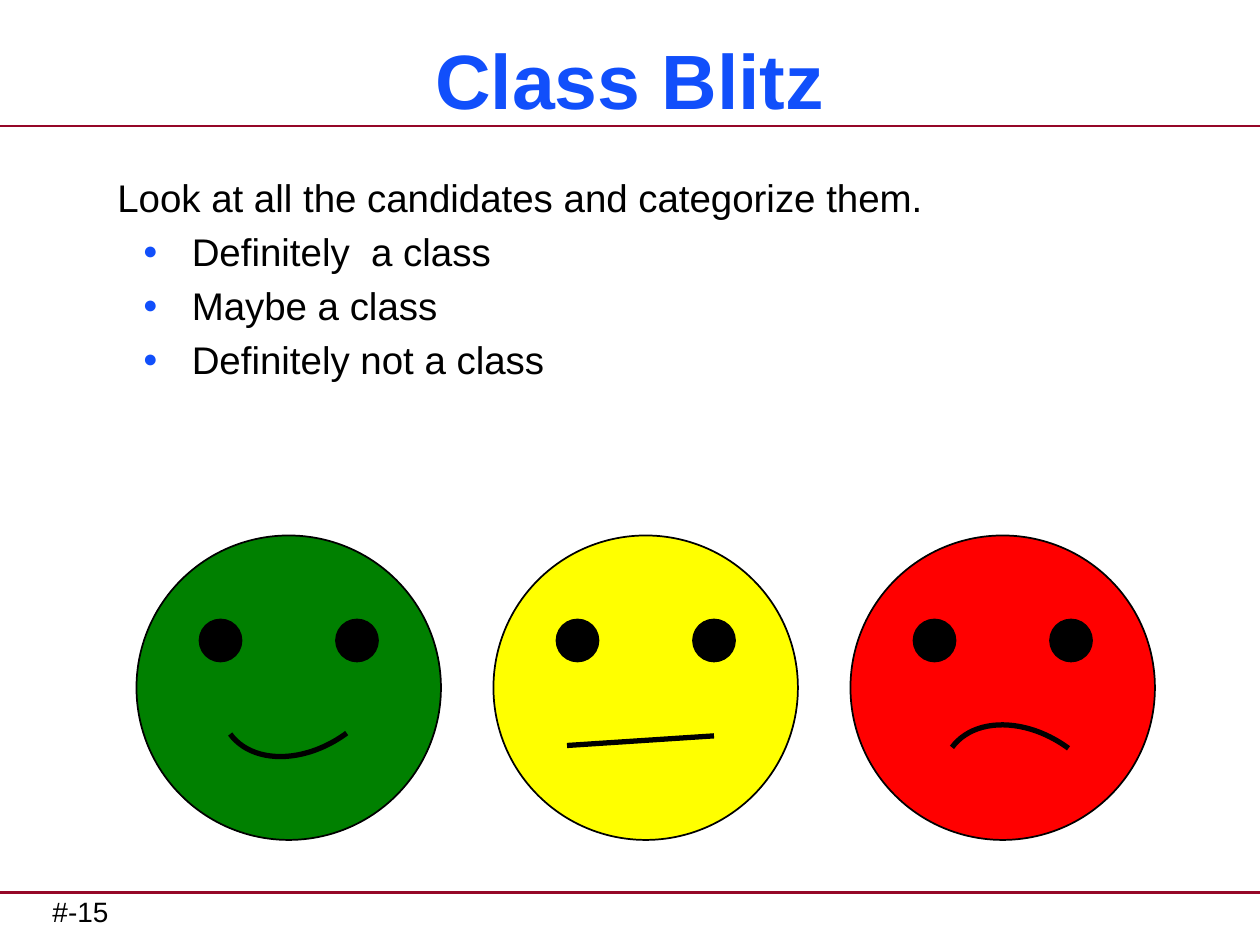
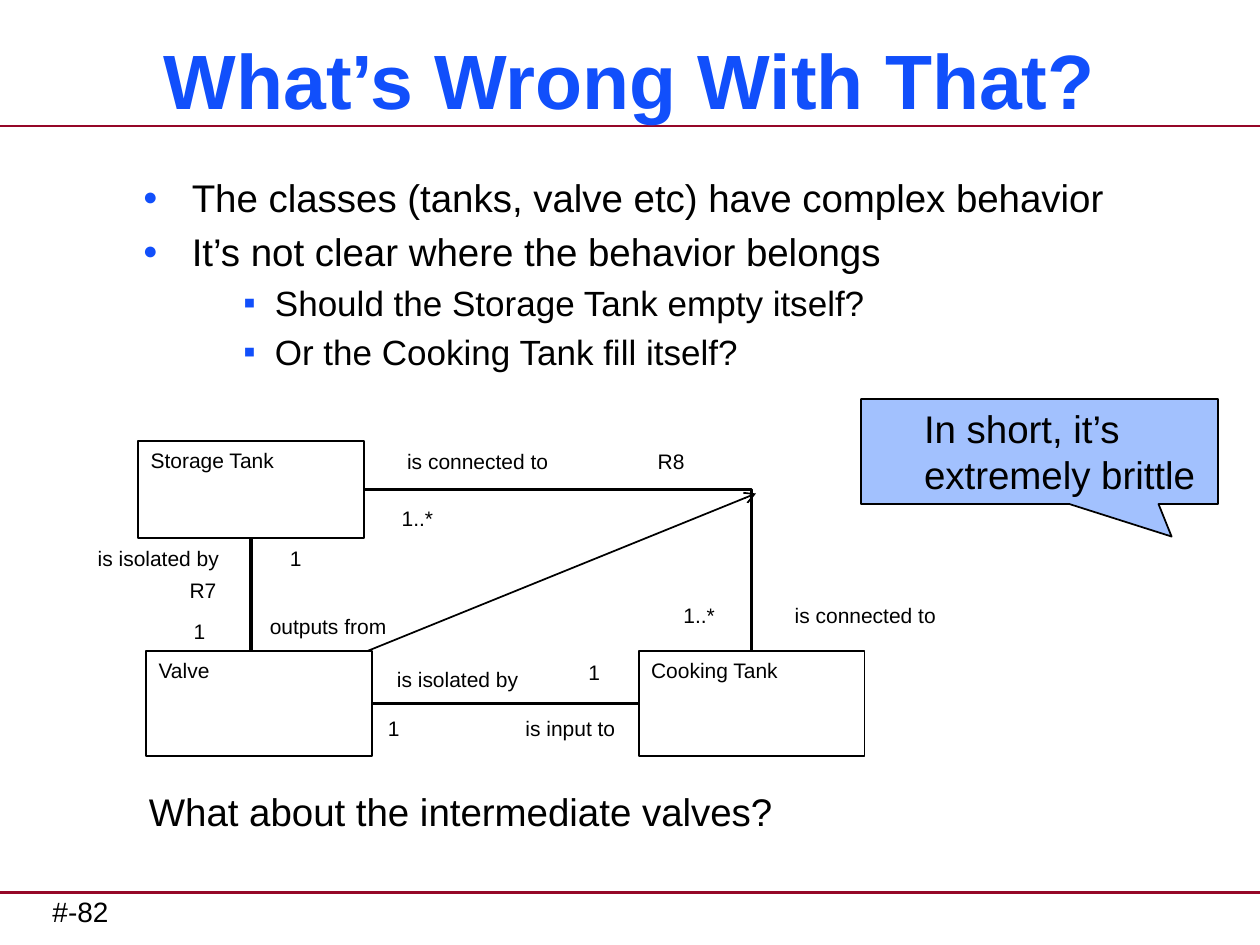
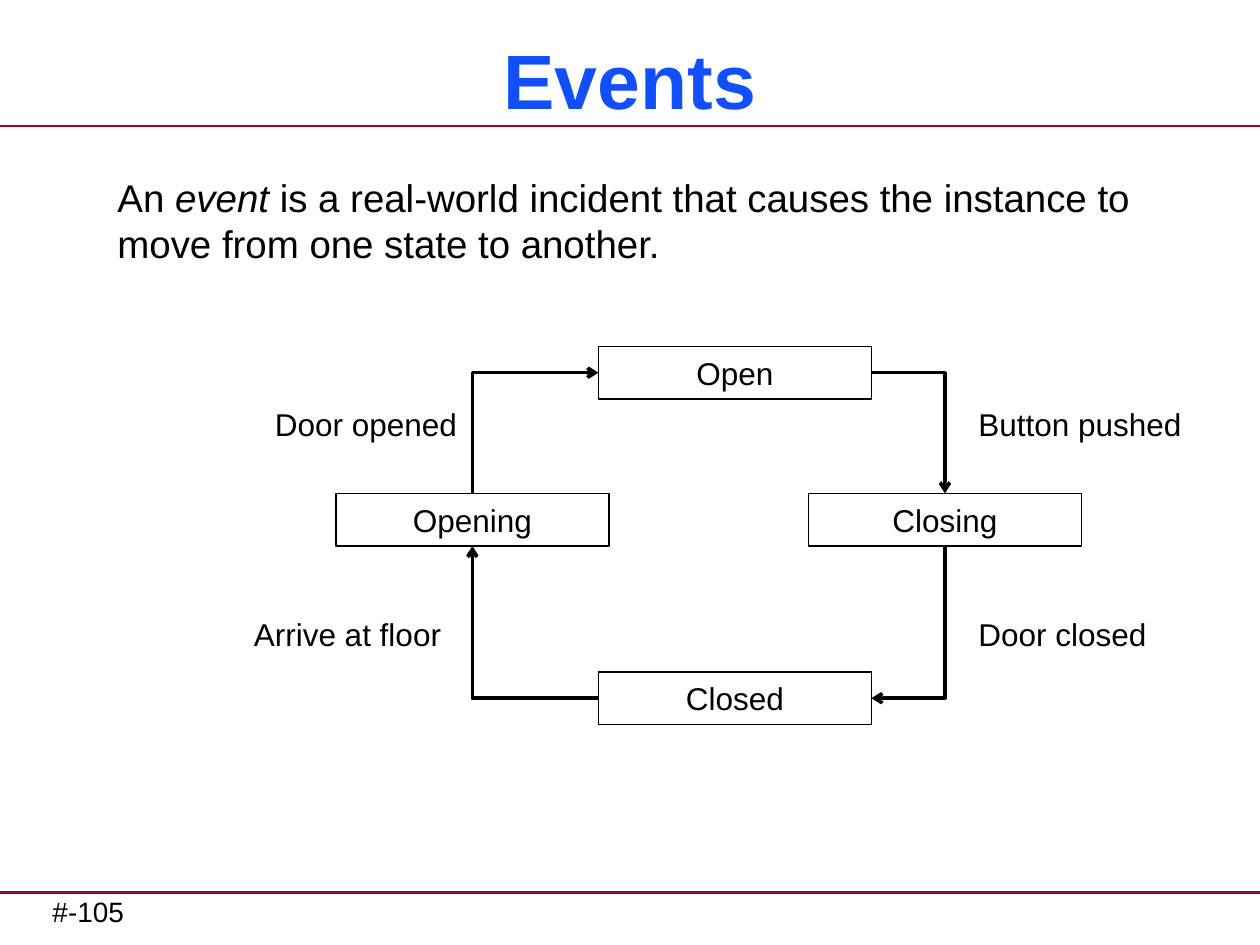
from typing import NamedTuple, Optional

from pptx import Presentation
from pptx.dml.color import RGBColor
from pptx.enum import shapes, text
from pptx.oxml import ns, xmlchemy
from pptx.util import Pt

BLUE, MAROON, BLACK = "114FFB", "950728", "000000"
FONT = "Arial"
WIDTH, HEIGHT = 720, 540
LEFT, CENTER = text.PP_ALIGN.LEFT, text.PP_ALIGN.CENTER
TOP, MIDDLE = text.MSO_ANCHOR.TOP, text.MSO_ANCHOR.MIDDLE
PRESET = shapes.MSO_SHAPE
SITE_TOP, SITE_LEFT, SITE_BOTTOM, SITE_RIGHT = range(4)


class Box(NamedTuple):
    left: float
    top: float
    width: float
    height: float


class Style(NamedTuple):
    size: float
    color: str = BLACK
    bold: bool = False
    align: int = LEFT
    anchor: int = TOP
    side_inset: float = 7.2
    wrap: bool = True


class Level(NamedTuple):
    size: float
    margin: float = 0
    hanging: float = 0
    bullet: str = ""
    bullet_percent: int = 100


class Line(NamedTuple):
    level: Level
    runs: tuple[tuple[str, bool], ...]  # words, italic


class Face(NamedTuple):
    color: str
    mouth: Optional[Box]  # None is a straight mouth
    turn: float = 0
    flipped: bool = False


PLAIN = Level(22)
BULLET = Level(22, 42.5, -28, "●", 65)
SUB_BULLET = Level(20, 90, -18, "▪")
CALLOUT = Level(22, 36)

TITLE_STYLE = Style(44, BLUE, True, CENTER, MIDDLE)
FOOTER_STYLE = Style(16, side_inset=0)
BODY_STYLE = Style(22)
CLASS_STYLE = Style(12)
ROLE_STYLE = Style(12, align=CENTER, anchor=MIDDLE)
STATE_STYLE = Style(18, align=CENTER, anchor=MIDDLE)
EVENT_STYLE = Style(18, wrap=False)


# Drawing helpers
def rgb(color: str) -> RGBColor:
    return RGBColor.from_string(color)


def points(box: Box) -> list:
    return [Pt(length) for length in box]


def add_child(parent, tag: str, **attributes: str):
    child = xmlchemy.OxmlElement(tag)
    for key, value in attributes.items():
        child.set(key, value)
    parent.append(child)
    return child


def set_level(paragraph, level: Level) -> None:
    properties = paragraph._p.get_or_add_pPr()
    properties.set("marL", str(Pt(level.margin)))
    properties.set("indent", str(Pt(level.hanging)))
    if level.bullet:
        add_child(add_child(properties, "a:buClr"), "a:srgbClr", val=BLUE)
        add_child(properties, "a:buSzPct", val=str(level.bullet_percent * 1000))
        add_child(properties, "a:buFont", typeface=FONT)
        add_child(properties, "a:buChar", char=level.bullet)


def write(shape, lines: list[Line], style: Style) -> None:
    frame = shape.text_frame
    frame.word_wrap = style.wrap
    frame.vertical_anchor = style.anchor
    frame.margin_left = frame.margin_right = Pt(style.side_inset)
    frame.margin_top = frame.margin_bottom = Pt(3.6)
    for index, line in enumerate(lines):
        paragraph = frame.add_paragraph() if index else frame.paragraphs[0]
        set_level(paragraph, line.level)
        paragraph.alignment = style.align
        paragraph.space_before = Pt(0.2 * line.level.size if index else 0)
        for words, italic in line.runs:
            run = paragraph.add_run()
            run.text = words
            run.font.name = FONT
            run.font.size = Pt(line.level.size)
            run.font.bold = style.bold
            run.font.italic = italic
            run.font.color.rgb = rgb(style.color)


def say(words: str, level: Level = PLAIN) -> Line:
    return Line(level, ((words, False),))


def add_text(slide, box: Box, lines: list[Line], style: Style) -> None:
    write(slide.shapes.add_textbox(*points(box)), lines, style)


def add_label(slide, box: Box, words: str, style: Style) -> None:
    add_text(slide, box, [say(words, Level(style.size))], style)


def add_outline(slide, preset, box: Box, fill: str = "", weight: float = 1):
    shape = slide.shapes.add_shape(preset, *points(box))
    shape.shadow.inherit = False
    if fill:
        shape.fill.solid()
        shape.fill.fore_color.rgb = rgb(fill)
    else:
        shape.fill.background()
    shape.line.color.rgb = rgb(BLACK)
    shape.line.width = Pt(weight)
    return shape


def add_named_box(slide, box: Box, name: str, style: Style):
    shape = add_outline(slide, PRESET.RECTANGLE, box)
    write(shape, [say(name, Level(style.size))], style)
    return shape


def add_line(slide, start: tuple, end: tuple, weight: float, color: str = BLACK,
             arrow: str = "", kind=shapes.MSO_CONNECTOR.STRAIGHT):
    ends = [Pt(length) for length in (*start, *end)]
    line = slide.shapes.add_connector(kind, *ends)
    line.line.color.rgb = rgb(color)
    line.line.width = Pt(weight)
    if arrow:
        add_child(line.line._get_or_add_ln(), arrow, type="arrow")
    add_child(line.element.spPr, "a:effectLst")
    return line


def join(slide, source, source_site: int, target, target_site: int,
         arrow: str = "", corner: bool = True) -> None:
    """Join two boxes; a corner leaves the source sideways."""
    kinds = shapes.MSO_CONNECTOR
    line = add_line(slide, (0, 0), (0, 0), 2, arrow=arrow,
                    kind=kinds.ELBOW if corner else kinds.STRAIGHT)
    if corner:
        geometry = line.element.spPr.find(ns.qn("a:prstGeom"))
        geometry.set("prst", "bentConnector2")
    line.begin_connect(source, source_site)
    line.end_connect(target, target_site)


def start_slide(deck, title: str, number: int, body: list[Line]):
    slide = deck.slides.add_slide(deck.slide_layouts[6])
    for rule_top in (72, 510):
        add_line(slide, (0, rule_top), (WIDTH, rule_top), 1.5, MAROON)
    add_label(slide, Box(30, 507.5, 348, 26.5), f"#-{number}", FOOTER_STYLE)
    add_label(slide, Box(12, 18, 696, 54), title, TITLE_STYLE)
    add_text(slide, Box(60, 96, 636, 402), body, BODY_STYLE)
    return slide


# Class Blitz: three faces in a row
def add_face(slide, left: float, face: Face) -> None:
    add_outline(slide, PRESET.OVAL, Box(left, 306, 174, 174), face.color)
    for eye_offset in (36, 114):
        add_outline(slide, PRESET.OVAL, Box(left + eye_offset, 354, 24, 24), BLACK)
    if face.mouth is None:
        add_line(slide, (left + 42, 426), (left + 126, 420.5), 3)
        return
    box = face.mouth._replace(left=left + face.mouth.left)
    mouth = add_outline(slide, PRESET.ARC, box, weight=3)
    mouth.rotation = face.turn
    if face.flipped:
        mouth.element.spPr.find(ns.qn("a:xfrm")).set("flipV", "1")


def build_class_blitz(deck) -> None:
    slide = start_slide(deck, "Class Blitz", 15, [
        say("Look at all the candidates and categorize them."),
        say("Definitely  a class", BULLET),
        say("Maybe a class", BULLET),
        say("Definitely not a class", BULLET),
    ])
    faces = (
        Face("008000", Box(43, 348.5, 108, 78), 143.7),
        Face("FFFF00", None),
        Face("FF0000", Box(47.5, 420, 108, 78), 216.3, True),
    )
    for index, face in enumerate(faces):
        add_face(slide, 78 + 204 * index, face)


# What's Wrong With That?: class diagram
def build_whats_wrong(deck) -> None:
    slide = start_slide(deck, "What’s Wrong With That?", 82, [
        say("The classes (tanks, valve etc) have complex behavior", BULLET),
        say("It’s not clear where the behavior belongs", BULLET),
        say("Should the Storage Tank empty itself?", SUB_BULLET),
        say("Or the Cooking Tank fill itself?", SUB_BULLET),
    ])
    valve, cooking_tank, storage_tank = (
        add_named_box(slide, box, name, CLASS_STYLE) for name, box in (
            ("Valve", Box(83.5, 372, 129, 60)),
            ("Cooking Tank", Box(365, 372, 129, 60)),
            ("Storage Tank", Box(79, 252, 129, 55.5)),
        ))
    join(slide, valve, SITE_RIGHT, cooking_tank, SITE_LEFT, corner=False)
    join(slide, storage_tank, SITE_RIGHT, cooking_tank, SITE_TOP)
    add_line(slide, (143.5, 307.5), (143.5, 372), 2)
    add_line(slide, (210, 372), (432, 282), 1, arrow="a:tailEnd")

    roles = (
        ("is isolated by", Box(213, 376.5, 97, 23)),
        ("is input to", Box(282, 404.5, 88, 23)),
        ("1", Box(204, 404.5, 42, 23)),
        ("1", Box(323.5, 372.5, 32, 23)),
        ("R7", Box(93, 330.5, 46, 13.5)),
        ("R8", Box(360.5, 256.5, 46, 13.5)),
        ("1..*", Box(217.5, 284.5, 42, 23)),
        ("1..*", Box(378.5, 340, 42, 23)),
        ("is connected to", Box(439, 340, 111, 23)),
        ("is connected to", Box(217.5, 252, 111, 23)),
        ("1", Box(93, 349, 42, 23)),
        ("is isolated by", Box(42, 307.5, 97, 23)),
        ("1", Box(148, 307.5, 42, 23)),
        ("outputs from", Box(139, 344.5, 97, 27)),
    )
    for words, box in roles:
        add_label(slide, box, words, ROLE_STYLE)

    verdict = add_outline(slide, PRESET.RECTANGULAR_CALLOUT,
                          Box(492, 228, 204, 60), "A2C1FE")
    verdict.adjustments[0], verdict.adjustments[1] = 0.37, 0.81
    write(verdict, [say("In short, it’s extremely brittle", CALLOUT)],
          Style(22, side_inset=0))
    add_label(slide, Box(78, 446.5, 375, 34),
              "What about the intermediate valves?", Style(22, wrap=False))


# Events: door state cycle
def build_events(deck) -> None:
    definition = Line(PLAIN, (
        ("An ", False),
        ("event ", True),
        ("is a real-world incident that causes the instance to move "
         "from one state to another.", False),
    ))
    slide = start_slide(deck, "Events", 105, [definition])
    opened, closing, opening, closed = (
        add_named_box(slide, Box(left, top, 156, 30), name, STATE_STYLE)
        for name, left, top in (
            ("Open", 342, 198), ("Closing", 462, 282),
            ("Opening", 192, 282), ("Closed", 342, 384),
        ))
    join(slide, opened, SITE_RIGHT, closing, SITE_TOP, "a:tailEnd")
    join(slide, closed, SITE_RIGHT, closing, SITE_BOTTOM, "a:headEnd")
    join(slide, closed, SITE_LEFT, opening, SITE_BOTTOM, "a:tailEnd")
    join(slide, opened, SITE_LEFT, opening, SITE_TOP, "a:headEnd")

    for words, left, top, width in (
        ("Button pushed", 552, 228, 132), ("Door closed", 552, 348, 111.5),
        ("Arrive at floor", 138, 348, 124), ("Door opened", 150, 228, 119.5),
    ):
        add_label(slide, Box(left, top, width, 29), words, EVENT_STYLE)


def main() -> None:
    deck = Presentation()
    deck.slide_width, deck.slide_height = Pt(WIDTH), Pt(HEIGHT)
    build_class_blitz(deck)
    build_whats_wrong(deck)
    build_events(deck)
    deck.save("out.pptx")


if __name__ == "__main__":
    main()
